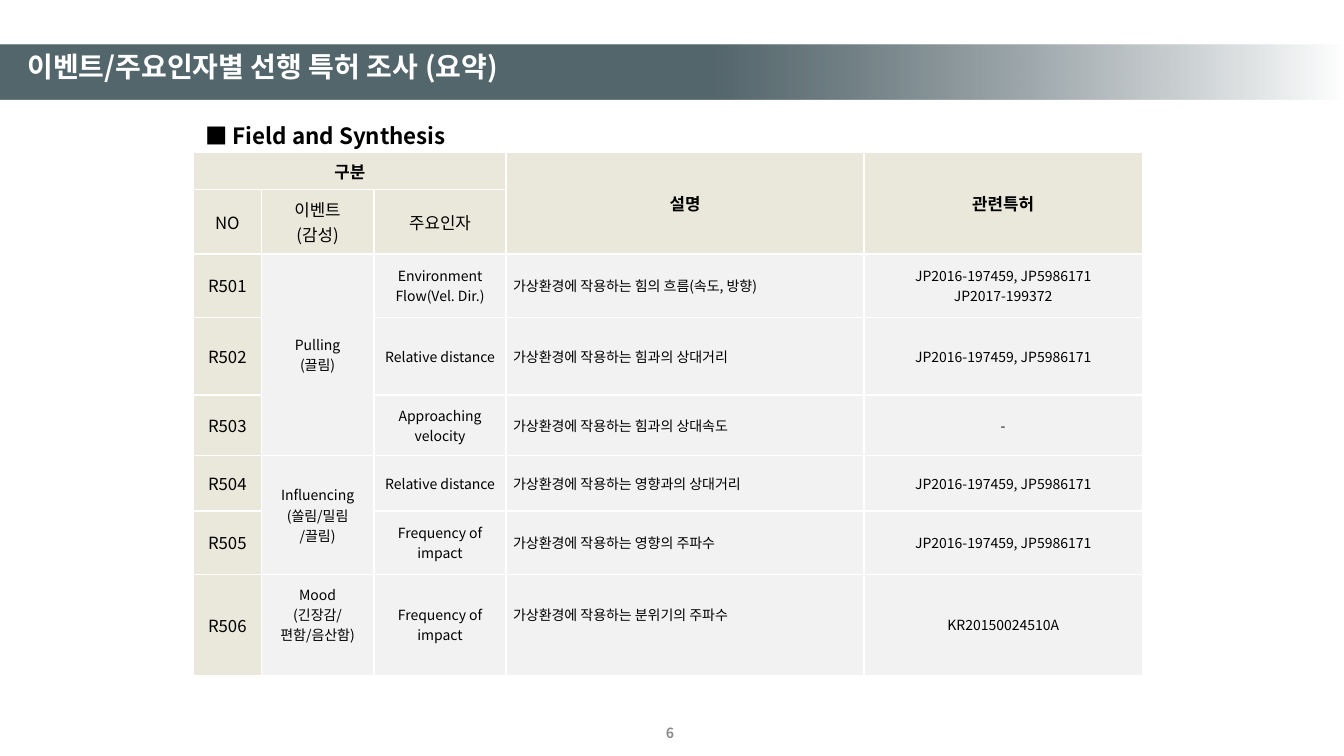
"""Build the slide that sums up prior patents by event and key factor."""
from lxml.etree import SubElement
from pptx import Presentation
from pptx.dml.color import RGBColor
from pptx.enum.shapes import MSO_SHAPE
from pptx.enum.text import MSO_ANCHOR, MSO_AUTO_SIZE, PP_ALIGN
from pptx.oxml import parse_xml
from pptx.oxml.ns import nsdecls, qn
from pptx.util import Inches, Pt

FONT = "Noto Sans CJK KR"
HEADER_FILL, BODY_FILL = "EAE8DA", "F2F2F2"


def colour(value):
    return RGBColor.from_string(value)


def write(frame, text, size=12, bold=False, ink="000000", align=PP_ALIGN.CENTER,
          anchor=MSO_ANCHOR.MIDDLE, wrap=True):
    frame.word_wrap = wrap
    frame.vertical_anchor = anchor
    for index, line in enumerate(text.split("\n")):
        para = frame.add_paragraph() if index else frame.paragraphs[0]
        para.alignment = align
        span = para.add_run()
        span.text = line
        span.font.size = Pt(size)
        span.font.bold = bold
        span.font.color.rgb = colour(ink)
        span.font.name = FONT
        SubElement(span.font._element, qn("a:ea"), typeface=FONT)


deck = Presentation()
deck.slide_width, deck.slide_height = Inches(13.33), Inches(7.5)
page = deck.slides.add_slide(deck.slide_layouts[5])

title = page.shapes.title
title.left, title.top = Inches(0.17), Inches(0.48)
title.width, title.height = Inches(12.41), Inches(0.47)
write(title.text_frame, "이벤트/주요인자별 선행 특허 조사 (요약)", size=20, bold=True,
      ink="FFFFFF", align=PP_ALIGN.LEFT, anchor=MSO_ANCHOR.TOP)
title.text_frame.auto_size = MSO_AUTO_SIZE.NONE
title.text_frame.paragraphs[0].line_spacing = 0.9
title.text_frame.paragraphs[0].space_before = Pt(10)

bar = page.shapes.add_shape(MSO_SHAPE.RECTANGLE, 0, Inches(0.44), deck.slide_width, Inches(0.55))
bar.shadow.inherit = False
bar.line.fill.background()
bar.fill.gradient()
bar.fill.gradient_angle = 0
stops = bar.element.spPr.find(qn("a:gradFill")).find(qn("a:gsLst"))
for stop in list(stops):
    stops.remove(stop)
for position, shade, alpha in [(0, "2B4149", 80), (53, "2B4149", 80), (100, "FFFFFF", 100)]:
    stop = SubElement(stops, qn("a:gs"), pos=str(position * 1000))
    tint = SubElement(stop, qn("a:srgbClr"), val=shade)
    SubElement(tint, qn("a:alpha"), val=str(alpha * 1000))
title.element.addprevious(bar.element)

heading = page.shapes.add_textbox(Inches(1.94), Inches(1.18), Inches(3.44), Inches(0.33))
write(heading.text_frame, "■ Field and Synthesis", size=16, bold=True,
      align=PP_ALIGN.LEFT, wrap=False)

widths = [0.67, 1.12, 1.31, 3.55, 2.76]
heights = [0.37, 0.64, 0.63, 0.77, 0.6, 0.55, 0.63, 1]
rows = [
    ["구분", "", "", "설명", "관련특허"],
    ["NO", "이벤트\n(감성)", "주요인자", "", ""],
    ["R501", "Pulling\n(끌림)", "Environment Flow(Vel. Dir.)",
     "가상환경에 작용하는 힘의 흐름(속도, 방향)", "JP2016-197459, JP5986171\nJP2017-199372"],
    ["R502", "", "Relative distance", "가상환경에 작용하는 힘과의 상대거리",
     "JP2016-197459, JP5986171"],
    ["R503", "", "Approaching velocity", "가상환경에 작용하는 힘과의 상대속도", "-"],
    ["R504", "Influencing\n(쏠림/밀림\n/끌림)", "Relative distance",
     "가상환경에 작용하는 영향과의 상대거리", "JP2016-197459, JP5986171"],
    ["R505", "", "Frequency of impact", "가상환경에 작용하는 영향의 주파수",
     "JP2016-197459, JP5986171"],
    ["R506", "Mood\n(긴장감/ 편함/음산함)", "Frequency of impact",
     "가상환경에 작용하는 분위기의 주파수", "KR20150024510A"],
]
table = page.shapes.add_table(len(rows), len(widths), Inches(1.92), Inches(1.51),
                              Inches(sum(widths)), Inches(sum(heights))).table
table.first_row = table.horz_banding = False
for column, width in zip(table.columns, widths):
    column.width = Inches(width)
for row, height in zip(table.rows, heights):
    row.height = Inches(height)

for r, texts in enumerate(rows):
    for c, text in enumerate(texts):
        cell = table.cell(r, c)
        is_header = r < 2 or c == 0
        cell.margin_left = cell.margin_right = Inches(0.07)
        cell.margin_top = cell.margin_bottom = Inches(0.04)
        cell.fill.solid()
        cell.fill.fore_color.rgb = colour(HEADER_FILL if is_header else BODY_FILL)
        for index, side in enumerate(["lnL", "lnR", "lnT", "lnB"]):
            cell._tc.get_or_add_tcPr().insert(index, parse_xml(
                f'<a:{side} {nsdecls("a")} w="12700"><a:solidFill>'
                f'<a:srgbClr val="FFFFFF"/></a:solidFill></a:{side}>'))
        if text:
            is_description = r > 1 and c == 3
            write(cell.text_frame, text, size=12 if is_header else 10, bold=r == 0,
                  align=PP_ALIGN.LEFT if is_description else PP_ALIGN.CENTER)
            cell.vertical_anchor = MSO_ANCHOR.MIDDLE

for top, left, bottom, right in [(0, 0, 0, 2), (0, 3, 1, 3), (0, 4, 1, 4), (2, 1, 4, 1), (5, 1, 6, 1)]:
    table.cell(top, left).merge(table.cell(bottom, right))
for c in (1, 3):
    table.cell(7, c).margin_bottom = Inches(0.24)

number = page.shapes.add_textbox(Inches(5.09), Inches(7.07), Inches(3.11), Inches(0.4))
write(number.text_frame, "6", size=10, bold=True, ink="8C8C8C")

deck.save("out.pptx")
